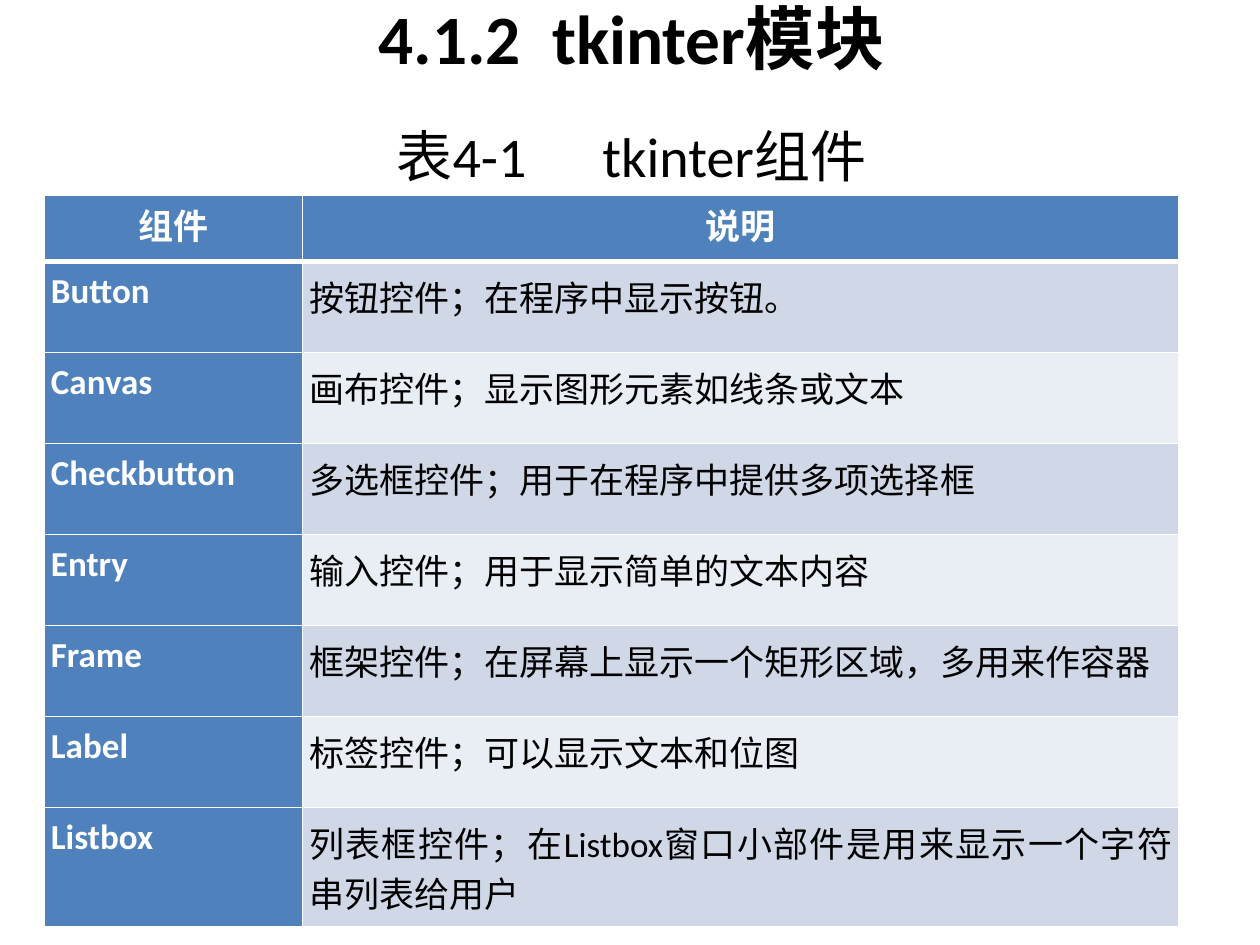
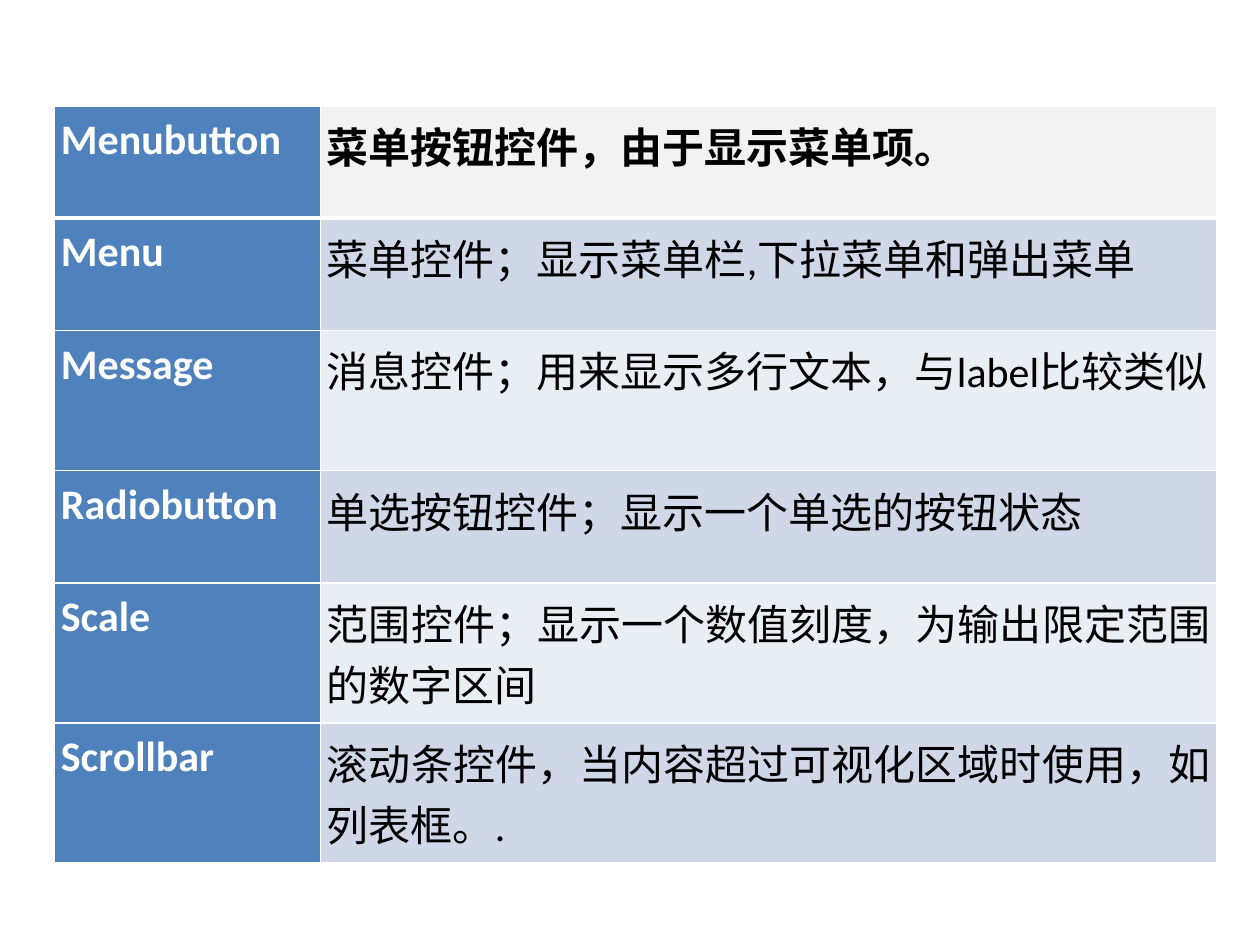
from lxml import etree
from pptx import Presentation
from pptx.dml.color import RGBColor
from pptx.enum import text as t
from pptx.oxml.ns import qn
from pptx.util import Pt

WHITE, BLACK, BLUE = "FFFFFF", "000000", "4F81BD"
BANDS = ["E9EDF4", "D0D8E8"]  # even rows, odd rows
FIRST_ROW_GREY = "F2F2F2"
CENTER, JUSTIFY = t.PP_ALIGN.CENTER, t.PP_ALIGN.JUSTIFY
TOP, MIDDLE = t.MSO_ANCHOR.TOP, t.MSO_ANCHOR.MIDDLE


def write(tf, text, size, color=BLACK, bold=False, align=CENTER, spacing=None):
    p = tf.paragraphs[0]
    p.alignment = align
    p.line_spacing = spacing
    r = p.add_run()
    r.text = text
    r.font.name = "Calibri"
    r.font.size = Pt(size)
    r.font.bold = bold
    r.font.color.rgb = RGBColor.from_string(color)


def add_border(cell, side, width):
    """Draw one white side (L, R, T or B); call before filling the cell."""
    ln = etree.SubElement(cell._tc.get_or_add_tcPr(), qn(f"a:ln{side}"), w=str(Pt(width)))
    fill = etree.SubElement(ln, qn("a:solidFill"))
    etree.SubElement(fill, qn("a:srgbClr"), val=WHITE)


prs = Presentation()
prs.slide_width, prs.slide_height = Pt(720), Pt(540)
blank = prs.slide_layouts[6]
first, second = (prs.slides.add_slide(blank) for _ in range(2))

# Title and table caption: top, height, top and bottom inset, anchor, text, format
headings = [
    (9.4, 72.7, 0, 49, MIDDLE, "4.1.2  tkinter模块", dict(size=39.6, bold=True)),
    (66.2, 51.1, 5.7, 0, TOP, "表4-1      tkinter组件", dict(size=32, spacing=0.96)),
]
for top, height, inset_top, inset_bottom, anchor, text, fmt in headings:
    tf = first.shapes.add_textbox(Pt(36.9), Pt(top), Pt(648), Pt(height)).text_frame
    tf.word_wrap = True
    tf.vertical_anchor = anchor
    tf.margin_top, tf.margin_bottom = Pt(inset_top), Pt(inset_bottom)
    write(tf, text, **fmt)

basic_widgets = [
    ("组件", "说明"),
    ("Button", "按钮控件；在程序中显示按钮。"),
    ("Canvas", "画布控件；显示图形元素如线条或文本"),
    ("Checkbutton", "多选框控件；用于在程序中提供多项选择框"),
    ("Entry", "输入控件；用于显示简单的文本内容"),
    ("Frame", "框架控件；在屏幕上显示一个矩形区域，多用来作容器"),
    ("Label", "标签控件；可以显示文本和位图"),
    ("Listbox", "列表框控件；在Listbox窗口小部件是用来显示一个字符串列表给用户"),
]
more_widgets = [
    ("Menubutton", "菜单按钮控件，由于显示菜单项。"),
    ("Menu", "菜单控件；显示菜单栏,下拉菜单和弹出菜单"),
    ("Message", "消息控件；用来显示多行文本，与label比较类似"),
    ("Radiobutton", "单选按钮控件；显示一个单选的按钮状态"),
    ("Scale", "范围控件；显示一个数值刻度，为输出限定范围的数字区间"),
    ("Scrollbar", "滚动条控件，当内容超过可视化区域时使用，如列表框。."),
]
one_line, two_lines = 64.2, 80.1
basic_heights = [38.2] + [52] * 6 + [68.2]
more_heights = [one_line, one_line, two_lines, one_line, two_lines, two_lines]

# Slide, rows, left, top, column widths, row heights, text size, has a header row
tables = [
    (first, basic_widgets, 25.5, 111.4, [147.5, 500.5], basic_heights, 20, True),
    (second, more_widgets, 31.2, 60.5, [152, 512], more_heights, 24, False),
]
for s, rows, left, top, widths, heights, size, has_header in tables:
    table = s.shapes.add_table(
        len(rows), 2, Pt(left), Pt(top), Pt(sum(widths)), Pt(sum(heights))).table
    table.first_row = table.horz_banding = False
    for column, width in zip(table.columns, widths):
        column.width = Pt(width)
    for i, (row, height) in enumerate(zip(rows, heights)):
        table.rows[i].height = Pt(height)
        is_header = has_header and i == 0
        for j, text in enumerate(row):
            cell = table.cell(i, j)
            add_border(cell, "L", 1)
            add_border(cell, "R", 1)
            add_border(cell, "T", 3 if i == 1 else 1)
            add_border(cell, "B", 3 if i == 0 else 1)
            is_blue = is_header or j == 0
            fill = BLUE if is_blue else FIRST_ROW_GREY if i == 0 else BANDS[i % 2]
            cell.fill.solid()
            cell.fill.fore_color.rgb = RGBColor.from_string(fill)
            cell.margin_left = cell.margin_right = Pt(2.2 if is_header else 3.6)
            cell.margin_top = cell.margin_bottom = Pt(2.2 if is_header else 5)
            write(cell.text_frame, text, size, color=WHITE if is_blue else BLACK,
                  bold=is_blue or i == 0, align=CENTER if is_header else JUSTIFY)

prs.save("out.pptx")
